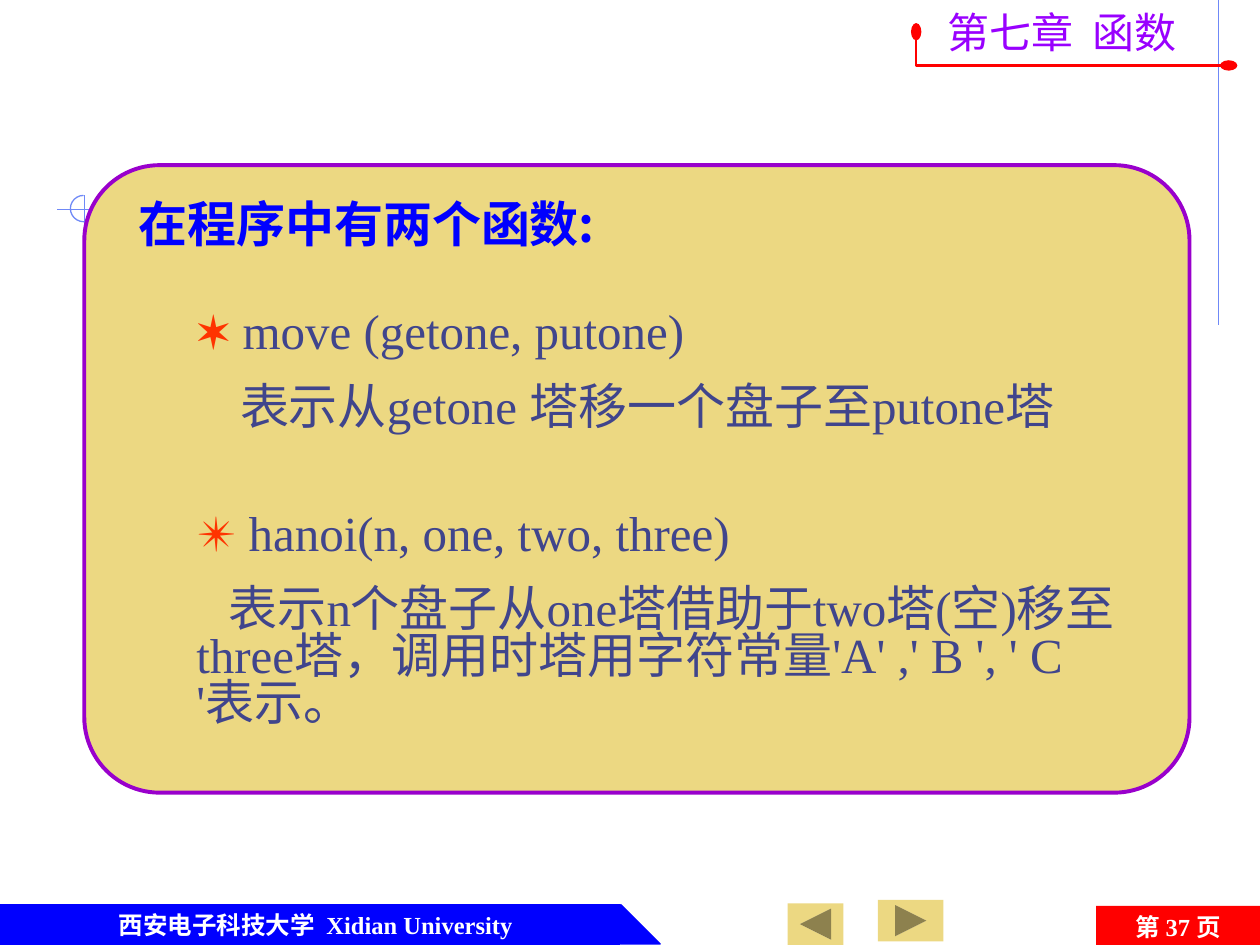
from lxml.etree import SubElement
from pptx import Presentation
from pptx.dml.color import RGBColor
from pptx.enum.shapes import MSO_CONNECTOR, MSO_SHAPE as SHAPE
from pptx.enum.text import MSO_ANCHOR as ANCHOR, MSO_AUTO_SIZE, PP_ALIGN as ALIGN
from pptx.oxml.ns import qn
from pptx.util import Cm, Pt

COLORS = {
    "guide": "6F89F7", "blue": "0000FF", "red": "FF0000", "white": "FFFFFF",
    "sand": "ECD882", "border": "9900CC", "star": "FF3300",
    "body": "40458C", "chapter": "9900FF",
}
SERIF = "Times New Roman"
SANS = "Noto Sans CJK SC"


def color(name):
    return RGBColor.from_string(COLORS[name])


def style_line(item, name, width):
    item.line.color.rgb = color(name)
    item.line.width = Pt(width)


def add_guide(page, x1, y1, x2, y2):
    guide = page.shapes.add_connector(
        MSO_CONNECTOR.STRAIGHT, Cm(x1), Cm(y1), Cm(x2), Cm(y2))
    style_line(guide, "guide", 0.75)
    SubElement(guide.element.spPr, qn("a:effectLst"))


def add_block(page, kind, x, y, width, height, fill=None, line=None, weight=0.75):
    block = page.shapes.add_shape(kind, Cm(x), Cm(y), Cm(width), Cm(height))
    block.shadow.inherit = False
    if fill:
        block.fill.solid()
        block.fill.fore_color.rgb = color(fill)
    else:
        block.fill.background()
    if line:
        style_line(block, line, weight)
    else:
        block.line.fill.background()
    return block


def add_box(page, x, y, width, height, anchor=ANCHOR.TOP, wrap=True):
    box = page.shapes.add_textbox(Cm(x), Cm(y), Cm(width), Cm(height))
    box.text_frame.word_wrap = wrap
    box.text_frame.vertical_anchor = anchor
    return box


def add_span(para, text, size, name, latin=SERIF, bold=False):
    span = para.add_run()
    span.text = text
    font = span.font
    font.size, font.bold, font.name = Pt(size), bold, latin
    font.color.rgb = color(name)
    SubElement(span._r.get_or_add_rPr(), qn("a:ea"), typeface=SANS)


def add_function(page, y, width, height, star, signature, meaning, indent):
    """Starred function signature with its explanation below."""
    frame = add_box(page, 3.71, y, width, height).text_frame
    first, second = frame.paragraphs[0], frame.add_paragraph()
    add_span(first, star, 28, "star")
    add_span(first, " " + signature, 28, "body")
    second.space_before = Pt(16)
    second._p.get_or_add_pPr().set("indent", str(Cm(indent)))
    add_span(second, meaning, 28, "body")
    for para in frame.paragraphs:
        para.line_spacing = 0.8


def add_guides(page):
    add_guide(page, 24.56, 0, 24.56, 6.55)
    add_guide(page, 6.1, 4.22, 1.14, 4.22)
    add_guide(page, 1.7, 3.94, 1.7, 10.39)
    arc = add_block(page, SHAPE.ARC, 1.42, 3.94, 0.53, 0.53, line="guide")
    arc.adjustments[0] = 0
    arc.adjustments[1] = 162  # 270 degrees


def add_footer(page):
    add_block(page, SHAPE.RECTANGLE, 0, 18.24, 12.5, 0.79, "blue", "blue")
    add_block(page, SHAPE.RIGHT_TRIANGLE, 12.52, 18.24, 0.79, 0.79, "blue", "blue")
    school = add_box(page, 0.74, 18.24, 11.25, 0.79, ANCHOR.MIDDLE)
    para = school.text_frame.paragraphs[0]
    para.alignment = ALIGN.CENTER
    add_span(para, "西安电子科技大学  Xidian University", 14, "white", bold=True)

    number = add_block(page, SHAPE.RECTANGLE, 22.1, 18.26, 3.3, 0.84, "red")
    number.text_frame.vertical_anchor = ANCHOR.MIDDLE
    para = number.text_frame.paragraphs[0]
    para.alignment = ALIGN.CENTER
    for text, latin in (("第 ", SANS), ("37 ", SERIF), ("页", SANS)):
        add_span(para, text, 14, "white", latin, True)

    button = SHAPE.ACTION_BUTTON_FORWARD_OR_NEXT
    add_block(page, button, 17.7, 18.14, 1.32, 0.84, "sand")
    back = add_block(page, button, 15.88, 18.21, 1.12, 0.84, "sand")
    back.rotation = 180


def place_title(page, text):
    title = page.shapes.title
    title.left, title.top = Cm(2.54), Cm(3.78)
    title.width, title.height = Cm(13.41), Cm(1.45)
    frame = title.text_frame
    frame.auto_size = MSO_AUTO_SIZE.NONE
    frame.vertical_anchor = ANCHOR.TOP
    para = frame.paragraphs[0]
    para.alignment = ALIGN.LEFT
    add_span(para, text, 28, "blue", SANS, True)
    # bring the title in front of the panel
    title.element.getparent().append(title.element)


def add_chapter(page, text):
    box = add_box(page, 18.85, 0, 5.59, 1.27, wrap=False)
    add_span(box.text_frame.paragraphs[0], text, 24, "chapter", SANS)
    builder = page.shapes.build_freeform(Cm(18.47), Cm(0.64))
    builder.add_line_segments(
        [(Cm(18.47), Cm(1.32)), (Cm(24.77), Cm(1.32))], close=False)
    rule = builder.convert_to_shape()
    rule.shadow.inherit = False
    rule.fill.background()
    style_line(rule, "red", 1.5)
    for end in ("a:headEnd", "a:tailEnd"):
        SubElement(rule.line._get_or_add_ln(), qn(end), type="oval", w="med", len="lg")


def main():
    deck = Presentation()
    deck.slide_width, deck.slide_height = Cm(25.4), Cm(19.05)
    page = deck.slides.add_slide(deck.slide_layouts[5])
    add_guides(page)
    add_footer(page)
    panel = add_block(page, SHAPE.ROUNDED_RECTANGLE, 1.7, 3.33, 22.28, 12.65,
                      "sand", "border", 2.25)
    panel.adjustments[0] = 0.12
    add_function(page, 6.17, 21.5, 2.74, "✶", "move (getone, putone)",
                 "表示从getone 塔移一个盘子至putone塔", 0.88)
    add_function(page, 10.24, 19.35, 4.65, "✴", "hanoi(n, one, two, three)",
                 "表示n个盘子从one塔借助于two塔(空)移至three塔，"
                 "调用时塔用字符常量'A' ,' B ', ' C '表示。", 0.65)
    place_title(page, "在程序中有两个函数:")
    add_chapter(page, "第七章  函数")
    deck.save("out.pptx")


if __name__ == "__main__":
    main()
